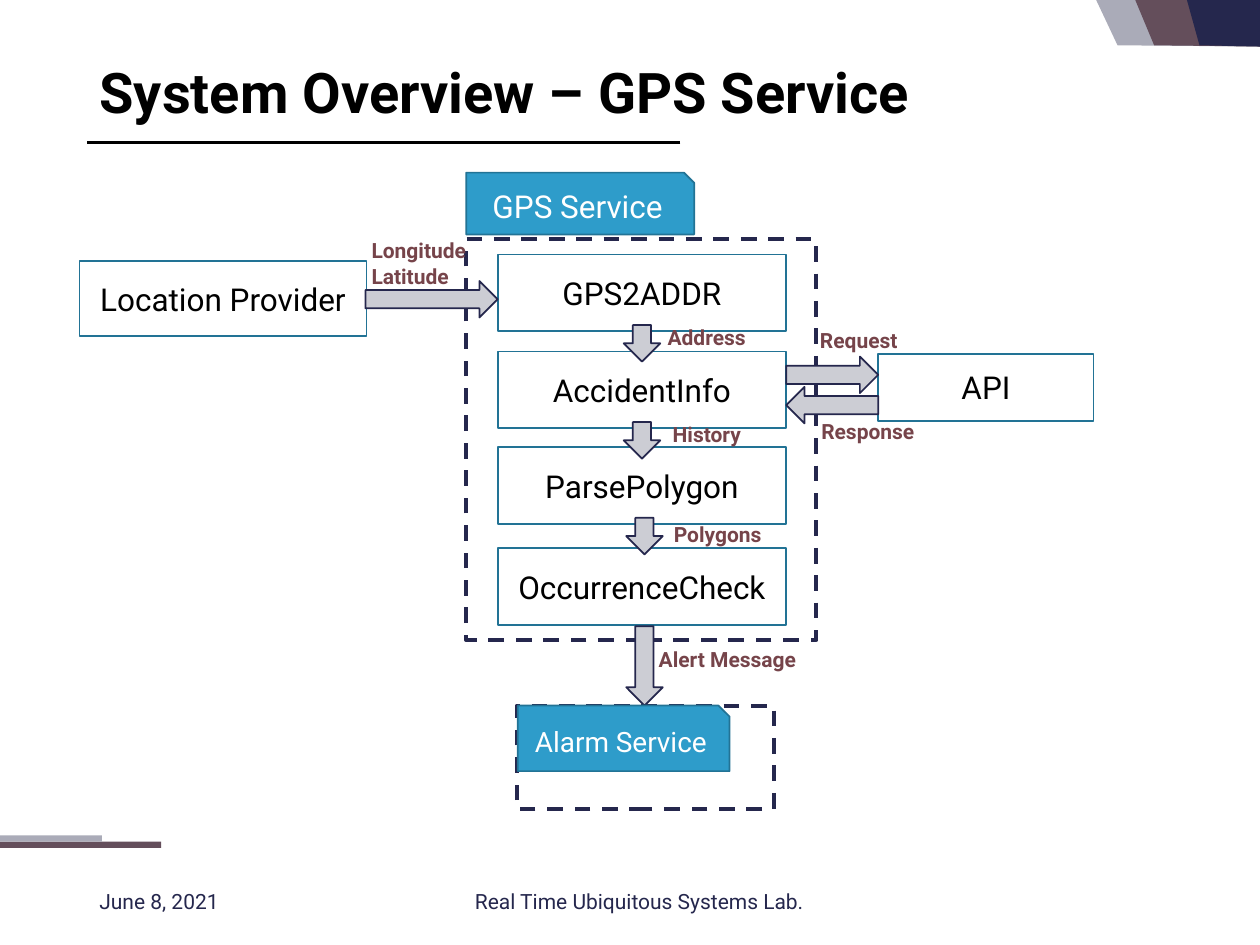
from dataclasses import dataclass

from lxml.etree import SubElement
from pptx import Presentation
from pptx.dml.color import RGBColor
from pptx.enum.dml import MSO_LINE_DASH_STYLE as Dash
from pptx.enum.shapes import MSO_CONNECTOR as Connector, MSO_SHAPE as Shape
from pptx.enum.text import MSO_ANCHOR as Anchor, MSO_AUTO_SIZE as AutoSize, PP_ALIGN as Align
from pptx.oxml.ns import qn
from pptx.util import Inches, Pt


@dataclass(frozen=True)
class Theme:
    font: str = "Roboto"
    black: str = "000000"
    white: str = "FFFFFF"
    navy: str = "25274D"
    plum: str = "644E5B"
    mist: str = "AAABB8"
    blue: str = "2E9CCA"
    outline: str = "227395"
    arrow: str = "CCCDD4"
    label: str = "76444A"
    title_size: int = 32
    box_size: int = 18
    alarm_size: int = 16
    small_size: int = 12


THEME = Theme()
TITLE = "System Overview – GPS Service"
FOOTER = [
    ("June 8, 2021", (0.69, 6.95, 2.25, 0.4), Align.LEFT),
    ("Real Time Ubiquitous Systems Lab.", (3.66, 6.95, 2.83, 0.4), Align.CENTER),
]
RIBBONS = [(8.7, 8.87, THEME.mist), (9.01, 9.16, THEME.plum), (9.42, 9.52, THEME.navy)]
BARS = [((0, 6.68, 1.28, 0.05), THEME.plum), ((0, 6.63, 0.81, 0.05), THEME.mist)]
FRAMES = [(3.7, 1.9, 2.78, 3.18), (4.1, 5.6, 2.04, 0.82)]
STEPS = [("GPS2ADDR", 2.02), ("AccidentInfo", 2.79), ("ParsePolygon", 3.55), ("OccurrenceCheck", 4.35)]
STEP_LEFT, STEP_WIDTH, STEP_HEIGHT = 3.95, 2.29, 0.61
OUTSIDE_BOXES = [("Location Provider", (0.63, 2.07, 2.28, 0.6)), ("API", (6.97, 2.81, 1.71, 0.53))]
TABS = [
    ("GPS Service", (3.7, 1.37, 1.81, 0.49), THEME.box_size),
    ("Alarm Service", (4.11, 5.6, 1.68, 0.52), THEME.alarm_size),
]
ARROW_THICKNESS = 0.29
FLOW_LEFTS = [4.95, 4.95, 4.97]
ARROWS = [
    (Shape.RIGHT_ARROW, (2.9, 2.23, 1.05, ARROW_THICKNESS)),
    (Shape.RIGHT_ARROW, (6.24, 2.83, 0.73, ARROW_THICKNESS)),
    (Shape.LEFT_ARROW, (6.24, 3.07, 0.73, ARROW_THICKNESS)),
    (Shape.DOWN_ARROW, (4.97, 4.97, ARROW_THICKNESS, 0.63)),
]
LABELS = [
    (["Longitude", "Latitude"], (2.85, 1.84, 1.02, 0.5)),
    (["Request"], (6.41, 2.55, 0.86, 0.3)),
    (["Response"], (6.42, 3.27, 1, 0.3)),
    (["Address"], (5.2, 2.53, 0.87, 0.3)),
    (["History"], (5.24, 3.3, 0.78, 0.3)),
    (["Polygons"], (5.25, 4.09, 0.96, 0.3)),
    (["Alert Message"], (5.13, 5.08, 1.34, 0.3)),
]


def color(value):
    return RGBColor.from_string(value)


def place(box):
    return [Inches(length) for length in box]


def write(shape, lines, size, ink, align=Align.CENTER, bold=False, anchor=Anchor.MIDDLE):
    frame = shape.text_frame
    frame.text = "\n".join(lines)
    frame.word_wrap = True
    frame.vertical_anchor = anchor
    for paragraph in frame.paragraphs:
        paragraph.alignment = align
        font = paragraph.font
        font.name, font.size, font.bold = THEME.font, Pt(size), bold
        font.color.rgb = color(ink)
    return frame


def paint(shape, fill=None, line=None, width=1):
    shape.shadow.inherit = False
    if fill:
        shape.fill.solid()
        shape.fill.fore_color.rgb = color(fill)
    else:
        shape.fill.background()
    if line:
        shape.line.color.rgb = color(line)
        shape.line.width = Pt(width)
    else:
        shape.line.fill.background()


def add_block(slide, kind, box, **style):
    shape = slide.shapes.add_shape(kind, *place(box))
    paint(shape, **style)
    return shape


def add_decoration(slide):
    for top_left, bottom_left, fill in RIBBONS:
        builder = slide.shapes.build_freeform(Inches(10), 0)
        corners = [(10, 0.37), (bottom_left, 0.36), (top_left, 0)]
        builder.add_line_segments([place(corner) for corner in corners], close=True)
        paint(builder.convert_to_shape(), fill)
    for box, fill in BARS:
        add_block(slide, Shape.RECTANGLE, box, fill=fill)
    rule = slide.shapes.add_connector(Connector.STRAIGHT, *place((5.4, 1.13, 0.69, 1.13)))
    rule.line.color.rgb = color(THEME.black)
    rule.line.width = Pt(1.75)
    SubElement(rule.element.spPr, qn("a:effectLst"))


def add_heading_and_footer(slide):
    title = slide.shapes.title
    title.left, title.top, title.width, title.height = place((0.69, 0.4, 8.62, 0.71))
    frame = write(title, [TITLE], THEME.title_size, THEME.black, Align.LEFT, bold=True)
    frame.auto_size = AutoSize.NONE
    frame.paragraphs[0].line_spacing = 0.9
    for text, box, align in FOOTER:
        write(slide.shapes.add_textbox(*place(box)), [text], THEME.small_size, THEME.navy, align)


def add_diagram(slide):
    for box in FRAMES:
        frame = add_block(slide, Shape.RECTANGLE, box, line=THEME.navy, width=2.25)
        frame.line.dash_style = Dash.DASH
    steps = [(name, (STEP_LEFT, top, STEP_WIDTH, STEP_HEIGHT)) for name, top in STEPS]
    for name, box in OUTSIDE_BOXES + steps:
        shape = add_block(slide, Shape.RECTANGLE, box, line=THEME.outline)
        write(shape, [name], THEME.box_size, THEME.black)
    flow = [
        (Shape.DOWN_ARROW, (left, top + STEP_HEIGHT - 0.05, ARROW_THICKNESS, ARROW_THICKNESS))
        for left, (_, top) in zip(FLOW_LEFTS, STEPS)
    ]
    for kind, box in ARROWS + flow:
        add_block(slide, kind, box, fill=THEME.arrow, line=THEME.navy)
    for lines, box in LABELS:
        label = slide.shapes.add_textbox(*place(box))
        frame = write(label, lines, THEME.small_size, THEME.label, Align.LEFT, True, Anchor.TOP)
        frame.word_wrap = False
        frame.auto_size = AutoSize.SHAPE_TO_FIT_TEXT
    for name, box, size in TABS:
        tab = add_block(slide, Shape.SNIP_1_RECTANGLE, box, fill=THEME.blue, line=THEME.outline)
        write(tab, [name], size, THEME.white)


def main():
    presentation = Presentation()
    presentation.slide_width, presentation.slide_height = place((10, 7.5))
    slide = presentation.slides.add_slide(presentation.slide_layouts[5])
    add_decoration(slide)
    add_heading_and_footer(slide)
    add_diagram(slide)
    presentation.save("out.pptx")


if __name__ == "__main__":
    main()
